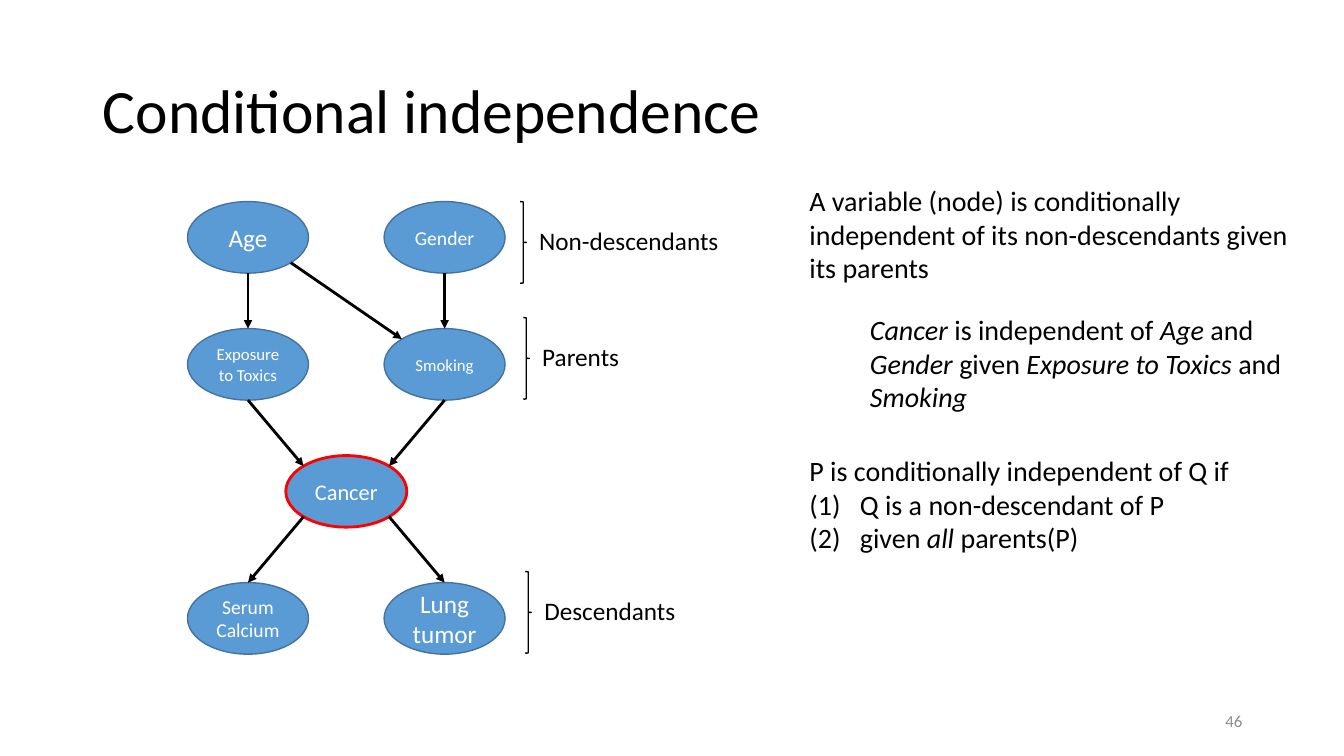
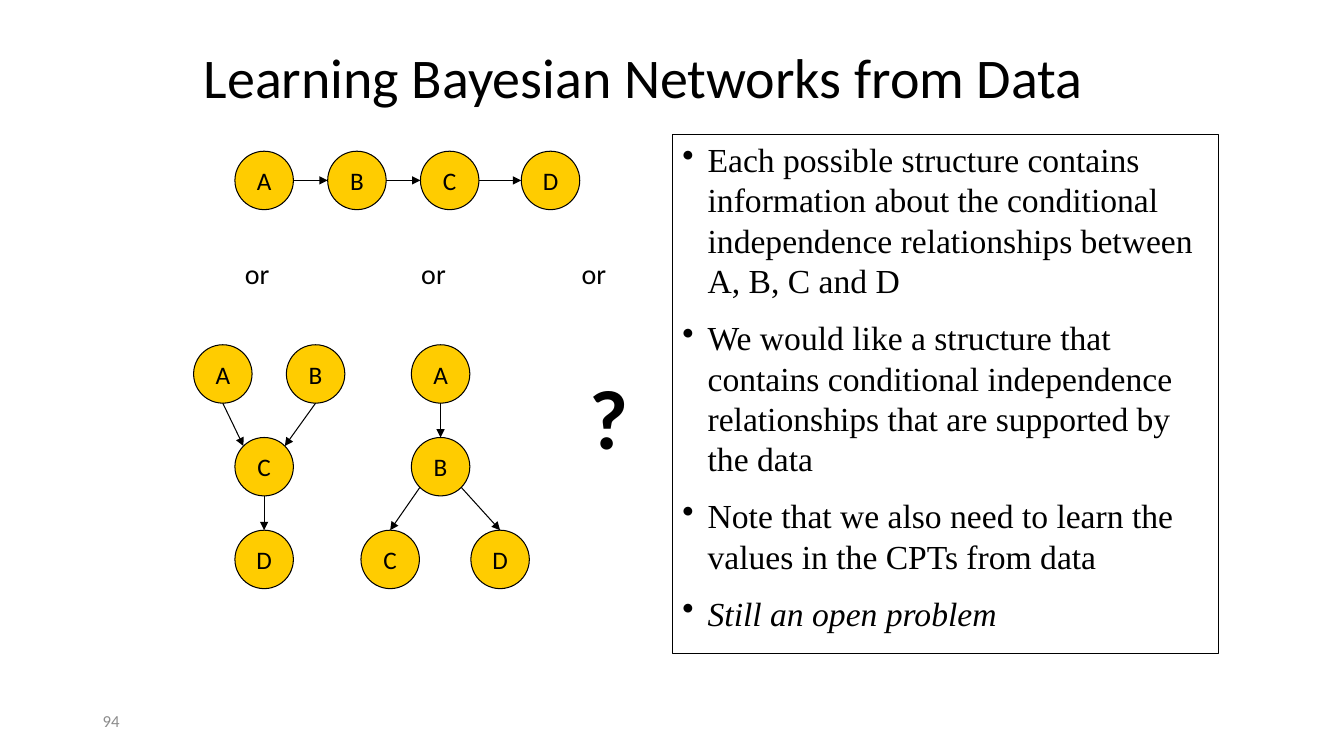
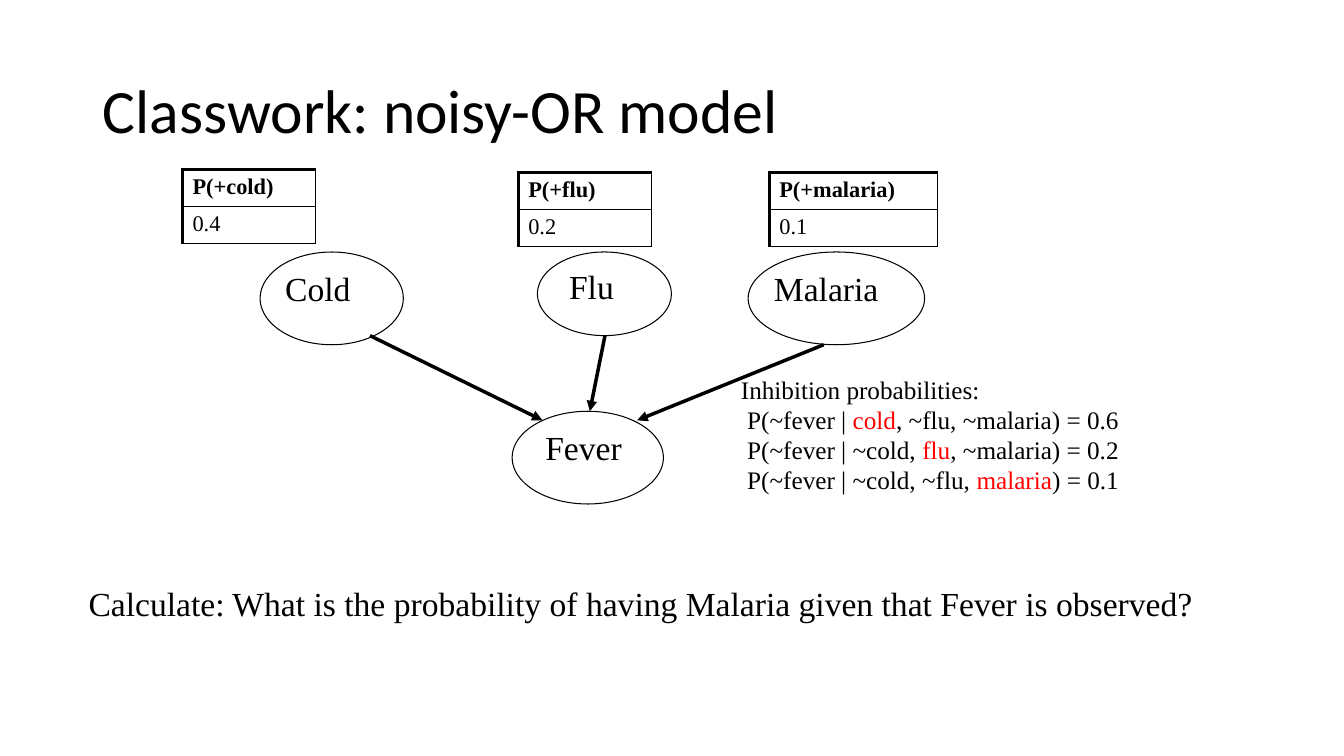
import math
from dataclasses import dataclass

from lxml import etree
from pptx import Presentation
from pptx import util as u
from pptx.dml.color import RGBColor
from pptx.enum import shapes, text
from pptx.oxml import ns


@dataclass(frozen=True)
class Theme:
    sans: str = "Calibri"
    serif: str = "Times New Roman"
    ink: str = "000000"
    white: str = "FFFFFF"
    grey: str = "8C8C8C"
    blue: str = "5B9BD5"
    blue_edge: str = "43739E"
    gold: str = "FFCC00"
    red: str = "FF0000"
    title: int = 44
    large: int = 24
    body: int = 20
    label: int = 18
    cell: int = 16
    small: int = 12
    huge: int = 60


T = Theme()
LEFT, CENTER, RIGHT = text.PP_ALIGN.LEFT, text.PP_ALIGN.CENTER, text.PP_ALIGN.RIGHT
TOP, MIDDLE = text.MSO_ANCHOR.TOP, text.MSO_ANCHOR.MIDDLE
N, NW, SW, S, SE, E, NE, W = 0, 1, 3, 4, 5, 6, 7, 2
TITLE_BOX = (0.92, 0.4, 11.5, 1.45)
DOT = ("buChar", "char", "•")
NUMBER = ("buAutoNum", "type", "arabicParenBoth")


def place(box):
    return [u.Inches(v) for v in box]


def rgb(color):
    return RGBColor.from_string(color)


def sub(parent, tag, **attrs):
    return etree.SubElement(parent, ns.qn(tag), **attrs)


def it(words):
    return words, {"italic": True}


def red(words):
    return words, {"color": T.red}


def write(tf, paras, size=T.label, font=T.sans, color=T.ink, bold=False,
          italic=False, align=LEFT, anchor=TOP, wrap=True, gap=0, leading=None):
    tf.word_wrap = wrap
    tf.vertical_anchor = anchor
    tf.auto_size = text.MSO_AUTO_SIZE.NONE
    for i, runs in enumerate([paras] if isinstance(paras, str) else paras):
        p = tf.add_paragraph() if i else tf.paragraphs[0]
        p.alignment = align
        p.space_before = u.Pt(gap if i else 0)
        if leading:
            p.line_spacing = leading
        for run in [runs] if isinstance(runs, (str, tuple)) else runs:
            words, extra = (run, {}) if isinstance(run, str) else run
            r = p.add_run()
            r.text = words
            r.font.size = u.Pt(size)
            r.font.name = font
            r.font.bold = bold
            r.font.italic = extra.get("italic", italic)
            r.font.color.rgb = rgb(extra.get("color", color))


def bullet(p, kind, indent):
    tag, key, value = kind
    pPr = p._p.get_or_add_pPr()
    pPr.set("marL", str(u.Inches(indent)))
    pPr.set("indent", str(-u.Inches(indent)))
    sub(pPr, "a:" + tag, **{key: value})


def textbox(slide, box, paras, **fmt):
    tf = slide.shapes.add_textbox(*place(box)).text_frame
    write(tf, paras, **fmt)
    return tf


def shape(slide, kind, box, fill=None, edge=T.ink, weight=0.75):
    sp = slide.shapes.add_shape(kind, *place(box))
    sp.shadow.inherit = False
    if fill:
        sp.fill.solid()
        sp.fill.fore_color.rgb = rgb(fill)
    else:
        sp.fill.background()
    sp.line.color.rgb = rgb(edge)
    sp.line.width = u.Pt(weight)
    return sp


def ellipse(slide, box, label, fill=None, edge=T.ink, weight=0.75, **fmt):
    sp = shape(slide, shapes.MSO_SHAPE.OVAL, box, fill, edge, weight)
    write(sp.text_frame, label, **fmt)
    return sp


def arrow(slide, start, end, weight):
    c = slide.shapes.add_connector(shapes.MSO_CONNECTOR.STRAIGHT, *start, *end)
    c.line.color.rgb = rgb(T.ink)
    c.line.width = u.Pt(weight)
    sub(c.line._get_or_add_ln(), "a:tailEnd", type="triangle")
    sub(c.element.spPr, "a:effectLst")
    return c


def site(sp, index):
    angle = index * math.pi / 4
    return (round(sp.left + sp.width / 2 * (1 - math.sin(angle))),
            round(sp.top + sp.height / 2 * (1 - math.cos(angle))))


def link(slide, a, a_site, b, b_site, weight):
    c = arrow(slide, site(a, a_site), site(b, b_site), weight)
    ends = c.element.find(".//" + ns.qn("p:cNvCxnSpPr"))
    for tag, sp, index in (("a:stCxn", a, a_site), ("a:endCxn", b, b_site)):
        sub(ends, tag, id=str(sp.shape_id), idx=str(index))


def title_slide(prs, title, box=TITLE_BOX, size=T.title):
    slide = prs.slides.add_slide(prs.slide_layouts[5])
    sp = slide.shapes.title
    sp.left, sp.top, sp.width, sp.height = place(box)
    write(sp.text_frame, title, size=size, anchor=MIDDLE, leading=0.9)
    return slide


def page_number(slide, x, number, align):
    textbox(slide, (x, 6.95, 3, 0.4), number, size=T.small, color=T.grey,
            align=align, anchor=MIDDLE)


def cancer_network(slide, x, y):
    column, row = 1.95, 1.26
    nodes = {}
    for label, col, line, size in (
            ("Age", 0, 0, 18), ("Gender", 1, 0, 14), ("Smoking", 1, 1, 12),
            ("Exposure to Toxics", 0, 1, 12), ("Cancer", 0.5, 2, 16),
            ("Lung tumor", 1, 3, 18), ("Serum Calcium", 0, 3, 14)):
        focus = label == "Cancer"
        nodes[label] = ellipse(
            slide, (x + col * column, y + line * row, 1.2, 0.71), label,
            fill=T.blue, edge=T.red if focus else T.blue_edge,
            weight=2 if focus else 1, size=size, color=T.white,
            align=CENTER, anchor=MIDDLE)
    for a, a_site, b, b_site in (
            ("Age", S, "Exposure to Toxics", N), ("Gender", S, "Smoking", N),
            ("Smoking", S, "Cancer", NE), ("Exposure to Toxics", S, "Cancer", NW),
            ("Cancer", SE, "Lung tumor", N), ("Cancer", SW, "Serum Calcium", N),
            ("Age", SE, "Smoking", NW)):
        link(slide, nodes[a], a_site, nodes[b], b_site, 2)


def brace_label(slide, x, y, label, width):
    shape(slide, shapes.MSO_SHAPE.RIGHT_BRACE, (x, y, 0.06, 0.81), weight=1)
    textbox(slide, (x + 0.09, y + 0.19, width, 0.4), label, wrap=False)


def independence_notes(slide, x, y):
    textbox(slide, (x, y, 5.14, 1.11),
            "A variable (node) is conditionally independent of its "
            "non-descendants given its parents", size=T.body)
    textbox(slide, (x + 0.6, y + 1.28, 4.32, 1.11),
            [[it("Cancer"), " is independent of ", it("Age"), " and ",
              it("Gender"), " given ", it("Exposure to Toxics "), "and ",
              it("Smoking")]], size=T.body)
    tf = textbox(slide, (x, y + 2.68, 4.57, 1.11),
                 ["P is conditionally independent of Q if",
                  "Q is a non-descendant of P",
                  ["given ", it("all"), " parents(P)"]], size=T.body)
    for p in tf.paragraphs[1:]:
        bullet(p, NUMBER, 0.5)


def letter_network(slide, x, y, places, edges):
    nodes = {label: ellipse(slide, (x + dx, y + dy, 0.58, 0.58), label,
                            fill=T.gold, align=CENTER, anchor=MIDDLE, wrap=False)
             for label, (dx, dy) in places.items()}
    for a, a_site, b, b_site in edges:
        link(slide, nodes[a], a_site, nodes[b], b_site, 0.75)


def candidate_structures(slide, x, y):
    row = 0.92
    lower = y + 1.92
    letter_network(slide, x + 0.41, y,
                   {"A": (0, 0), "B": (0.92, 0), "C": (1.84, 0), "D": (2.84, 0)},
                   [("A", E, "B", W), ("B", E, "C", W), ("C", E, "D", W)])
    letter_network(slide, x, lower,
                   {"A": (0, 0), "B": (0.92, 0), "C": (0.41, row), "D": (0.41, 2 * row)},
                   [("A", S, "C", NW), ("B", S, "C", NE), ("C", S, "D", N)])
    letter_network(slide, x + 1.66, lower,
                   {"A": (0.5, 0), "B": (0.5, row), "C": (0, 2 * row), "D": (1.09, 2 * row)},
                   [("A", S, "B", N), ("B", SW, "C", N), ("B", SE, "D", N)])
    for dx in (0.41, 2.16, 3.75):
        textbox(slide, (x + dx, y + 1, 0.5, 0.43), "or", size=T.body)
    textbox(slide, (x + 3.83, y + 2.08, 0.5, 1.1), "?", size=T.huge, bold=True)


def learning_points(slide, box):
    sp = shape(slide, shapes.MSO_SHAPE.RECTANGLE, box)
    write(sp.text_frame, [
        "Each possible structure contains information about the conditional "
        "independence relationships between A, B, C and D",
        "We would like a structure that contains conditional independence "
        "relationships that are supported by the data",
        "Note that we also need to learn the values in the CPTs from data",
        it("Still an open problem")], size=T.large, font=T.serif, gap=12)
    for p in sp.text_frame.paragraphs:
        bullet(p, DOT, 0.25)


def prior_table(slide, x, y, width, name, value):
    frame = slide.shapes.add_table(2, 1, *place((x, y, width, 0.74)))
    table = frame.table
    table.first_row = table.horz_banding = False
    for i, words in enumerate((name, value)):
        cell = table.cell(i, 0)
        cell.fill.background()
        write(cell.text_frame, words, size=T.cell, font=T.serif, bold=i == 0)
    for i, tc in enumerate(frame.element.iter(ns.qn("a:tc"))):
        tcPr = tc.get_or_add_tcPr()
        edges = (("L", 2.25), ("R", 1), ("T", 1 if i else 2.25), ("B", 1))
        for k, (side, weight) in enumerate(edges):
            ln = sub(tcPr, "a:ln" + side, w=str(u.Pt(weight)))
            sub(sub(ln, "a:solidFill"), "a:srgbClr", val=T.ink)
            tcPr.insert(k, ln)


def fever_network(slide, x, y):
    for label, dx, dy, width, height, inset in (
            ("Cold", 0, 0, 1.42, 0.92, 0.04), ("Flu", 2.75, 0, 1.33, 0.83, 0.12),
            ("Malaria", 4.84, 0, 1.75, 0.92, 0), ("Fever", 2.5, 1.58, 1.5, 0.92, 0.11)):
        sp = ellipse(slide, (x + dx, y + dy, width, height), label,
                     size=T.large, font=T.serif)
        tf = sp.text_frame
        tf.margin_left, tf.margin_top = place((inset, 0.02))
        tf.margin_right = tf.margin_bottom = 0
    for x1, y1, x2, y2 in ((1.09, 0.83, 2.8, 1.67), (3.42, 0.83, 3.27, 1.58),
                           (5.59, 0.92, 3.74, 1.67)):
        arrow(slide, place((x + x1, y + y1)), place((x + x2, y + y2)), 2.5)


def inhibition_list(slide, box):
    textbox(slide, box, [
        "Inhibition probabilities:",
        [" P(~fever | ", red("cold"), ", ~flu, ~malaria) = 0.6"],
        [" P(~fever | ~cold, ", red("flu"), ", ~malaria) = 0.2"],
        [" P(~fever | ~cold, ~flu, ", red("malaria"), ") = 0.1"]],
        font=T.serif, wrap=False)


def independence_slide(prs):
    slide = title_slide(prs, "Conditional independence")
    page_number(slide, 9.42, "46", RIGHT)
    cancer_network(slide, 1.86, 2)
    independence_notes(slide, 7.93, 1.77)
    brace_label(slide, 5.16, 2, "Non-descendants", 2)
    brace_label(slide, 5.19, 3.15, "Parents", 0.97)
    brace_label(slide, 5.21, 5.67, "Descendants", 1.52)


def learning_slide(prs):
    slide = title_slide(prs, "Learning Bayesian Networks from Data",
                        (1.92, 0.17, 9.5, 1.25), 40)
    page_number(slide, 0.92, "94", LEFT)
    candidate_structures(slide, 1.92, 1.5)
    learning_points(slide, (6.67, 1.33, 5.42, 5.15))


def classwork_slide(prs):
    slide = title_slide(prs, "Classwork: noisy-OR model")
    fever_network(slide, 2.58, 2.5)
    inhibition_list(slide, (7.25, 3.66, 4.05, 1.31))
    textbox(slide, (0.78, 5.73, 11.36, 0.5),
            "Calculate: What is the probability of having Malaria given that "
            "Fever is observed?", size=T.large, font=T.serif)
    prior_table(slide, 1.81, 1.68, 1.32, "P(+cold)", "0.4")
    prior_table(slide, 5.14, 1.71, 1.32, "P(+flu)", "0.2")
    prior_table(slide, 7.63, 1.71, 1.67, "P(+malaria)", "0.1")


def main():
    prs = Presentation()
    prs.slide_width, prs.slide_height = place((13.33, 7.5))
    independence_slide(prs)
    learning_slide(prs)
    classwork_slide(prs)
    prs.save("out.pptx")


if __name__ == "__main__":
    main()
